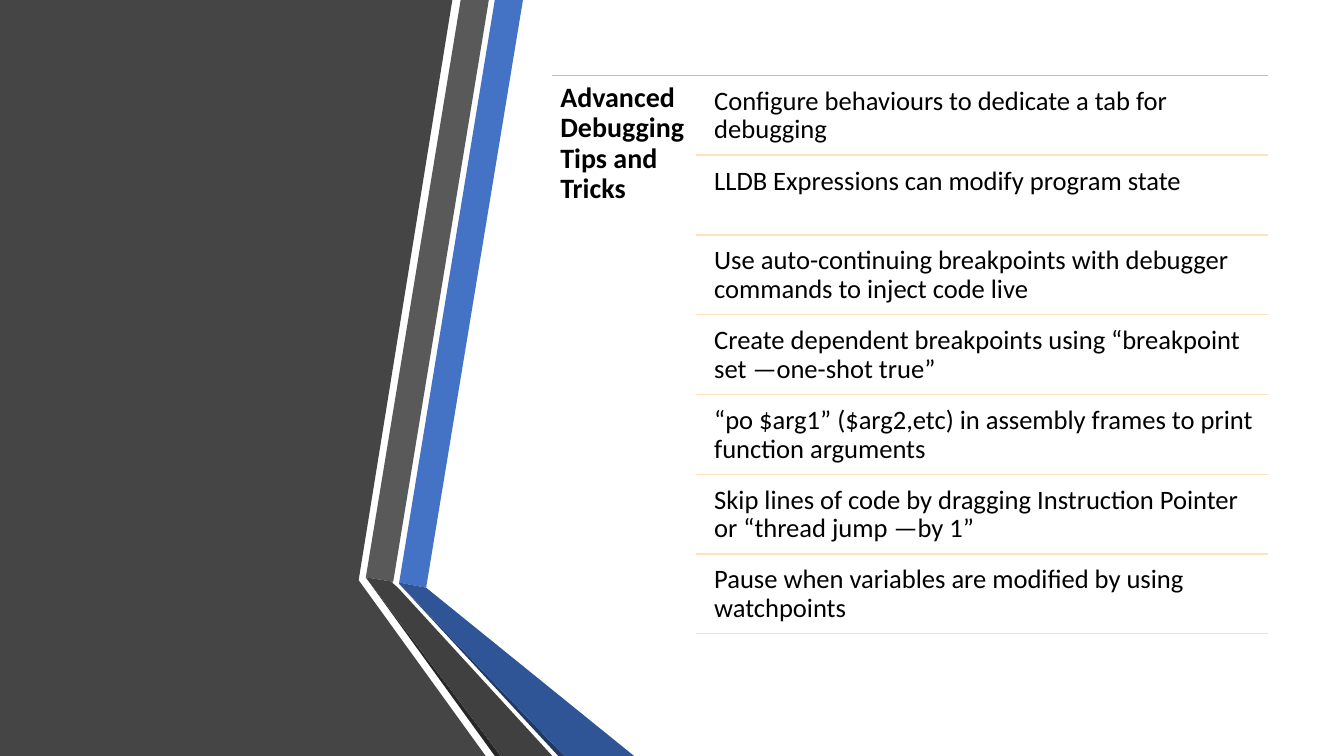
from lxml import etree
from pptx import Presentation
from pptx.dml.color import RGBColor
from pptx.enum import shapes, text
from pptx.oxml.ns import qn
from pptx.util import Cm, Pt

TITLE = "Advanced Debugging Tips and Tricks"
TIPS = [
    "Configure behaviours to dedicate a tab for debugging",
    "LLDB Expressions can modify program state",
    "Use auto-continuing breakpoints with debugger commands to inject code live",
    "Create dependent breakpoints using “breakpoint set —one-shot true”",
    "“po $arg1” ($arg2,etc) in assembly frames to print function arguments",
    "Skip lines of code by dragging Instruction Pointer or “thread jump —by 1”",
    "Pause when variables are modified by using watchpoints",
]

WIDTH, HEIGHT = 33.87, 19.05
# Side decoration: fill and corner points in cm, from back to front
BANDS = [
    ("454545", [(0, 0), (11.4, 0), (9.04, 14.62), (12.24, HEIGHT), (0, HEIGHT)]),
    ("4472C4", [(10.06, 14.68), (10.74, 14.81), (13.18, 0), (12.47, 0)]),
    ("595959", [(12.32, 0), (11.61, 0), (9.22, 14.55), (9.91, 14.66)]),
    ("262626", [(9.22, 14.55), (12.47, HEIGHT), (12.62, HEIGHT)]),
    ("203864", [(10.06, 14.71), (14.07, HEIGHT), (14.22, HEIGHT)]),
    ("2F5597", [(10.06, 14.71), (14.22, HEIGHT), (15.98, HEIGHT), (10.74, 14.81),
                (10.06, 14.68)]),
    ("404040", [(13.92, HEIGHT), (10.03, 14.81), (9.88, 14.68), (9.91, 14.66),
                (9.22, 14.55), (12.62, HEIGHT)]),
]

LIST_LEFT, LIST_TOP, LIST_RIGHT = 13.92, 1.9, 31.95
TITLE_WIDTH = 3.61
RULE_LEFT = LIST_LEFT + TITLE_WIDTH
TIP_LEFT = 17.8
ROW, TIP_GAP, TIP_HEIGHT = 2.01, 0.1, 1.9
INSET = 0.2


def color(value):
    return RGBColor.from_string(value)


def add_band(slide, fill, points):
    corners = [(Cm(x), Cm(y)) for x, y in points]
    builder = slide.shapes.build_freeform(*corners[0], scale=1.0)
    builder.add_line_segments(corners[1:], close=True)
    sp = builder.convert_to_shape()
    sp.shadow.inherit = False
    sp.fill.solid()
    sp.fill.fore_color.rgb = color(fill)
    sp.line.fill.background()


def add_rule(slide, left, y, line):
    rule = slide.shapes.add_connector(
        shapes.MSO_CONNECTOR.STRAIGHT, Cm(left), Cm(y), Cm(LIST_RIGHT), Cm(y))
    rule.line.color.rgb = color(line)
    rule.line.width = Pt(1)
    etree.SubElement(rule._element.spPr, qn("a:effectLst"))


def set_text(sp, words, size, bold=False):
    tf = sp.text_frame
    tf.text = words
    tf.word_wrap = True
    tf.auto_size = text.MSO_AUTO_SIZE.NONE
    tf.vertical_anchor = text.MSO_ANCHOR.TOP
    tf.margin_left = tf.margin_right = tf.margin_top = tf.margin_bottom = Cm(INSET)
    p = tf.paragraphs[0]
    p.alignment = text.PP_ALIGN.LEFT
    p.line_spacing = 0.9
    font = p.runs[0].font
    font.name, font.size, font.bold = "Calibri", Pt(size), bold
    font.color.rgb = color("000000")


def main():
    prs = Presentation()
    prs.slide_width, prs.slide_height = Cm(WIDTH), Cm(HEIGHT)
    slide = prs.slides.add_slide(prs.slide_layouts[5])

    for fill, points in BANDS:
        add_band(slide, fill, points)

    title = slide.shapes.title
    title.left, title.top = Cm(LIST_LEFT), Cm(LIST_TOP)
    title.width, title.height = Cm(TITLE_WIDTH), Cm(ROW * len(TIPS))
    set_text(title, TITLE, 20, bold=True)

    add_rule(slide, LIST_LEFT, LIST_TOP, "FFC000")
    for i, tip in enumerate(TIPS):
        top = LIST_TOP + i * ROW
        box = slide.shapes.add_textbox(
            Cm(TIP_LEFT), Cm(top + TIP_GAP), Cm(LIST_RIGHT - TIP_LEFT), Cm(TIP_HEIGHT))
        set_text(box, tip, 19)
        add_rule(slide, RULE_LEFT, top + ROW, "FFE2BD")

    prs.save("out.pptx")


if __name__ == "__main__":
    main()
